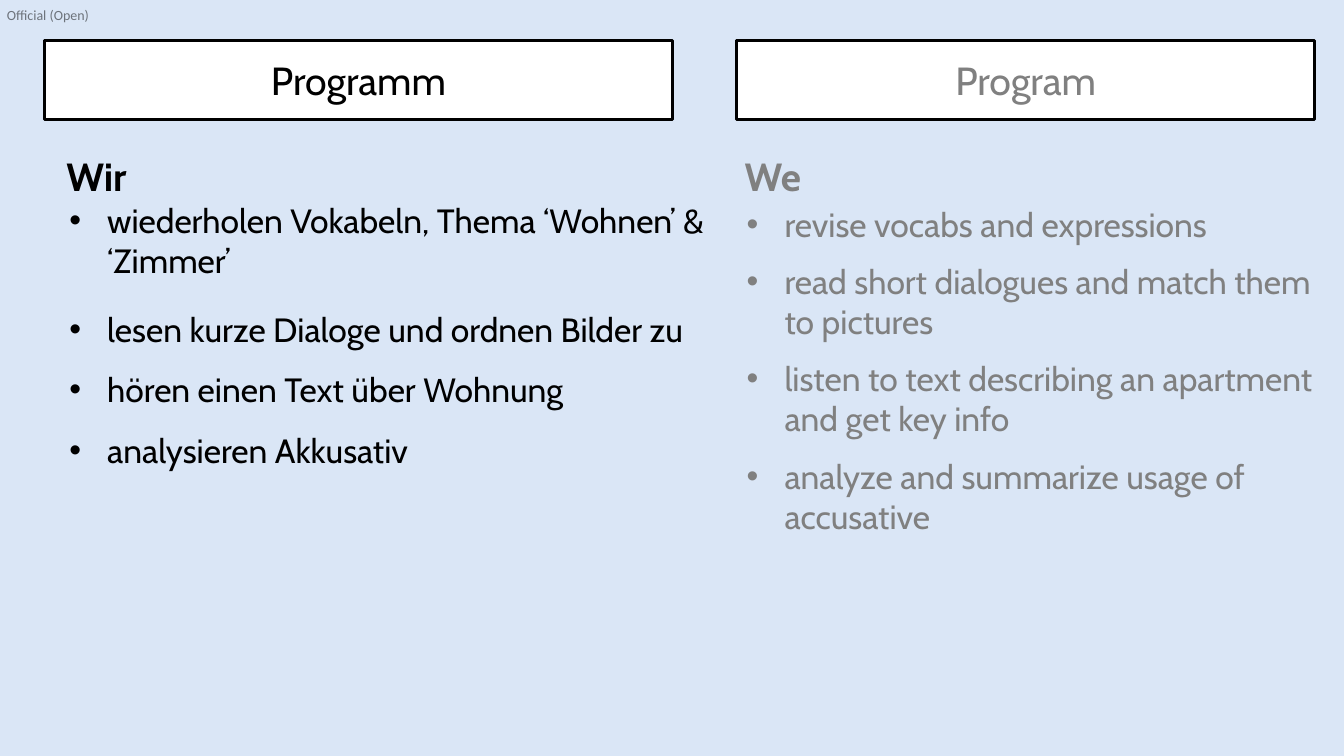
from dataclasses import dataclass

import lxml.etree
import pptx
import pptx.dml.color
import pptx.enum.shapes
import pptx.enum.text
import pptx.oxml.ns
import pptx.shapes.autoshape
import pptx.slide
import pptx.text.text
import pptx.util

Pt = pptx.util.Pt
RGBColor = pptx.dml.color.RGBColor
Align = pptx.enum.text.PP_ALIGN
Anchor = pptx.enum.text.MSO_ANCHOR

PALE_BLUE = RGBColor(0xDA, 0xE6, 0xF6)
WHITE = RGBColor(0xFF, 0xFF, 0xFF)
BLACK = RGBColor(0x00, 0x00, 0x00)
GREY = RGBColor(0x80, 0x80, 0x80)
LABEL_GREY = RGBColor(0x6D, 0x73, 0x7B)

HEADER_TOP, HEADER_HEIGHT = 28.8, 56.9
PRONOUN_TOP, PRONOUN_WIDTH, PRONOUN_HEIGHT = 105.1, 98.6, 41.2
HANGING_INDENT = 27


@dataclass(frozen=True)
class Box:
    left: float
    top: float
    width: float
    height: float

    def lengths(self) -> tuple[int, int, int, int]:
        return Pt(self.left), Pt(self.top), Pt(self.width), Pt(self.height)


@dataclass(frozen=True)
class Activity:
    text: str
    before: float = 0
    after: float = 0
    line_spacing: float = 1.0


@dataclass(frozen=True)
class Column:
    header: str
    header_left: float
    header_width: float
    pronoun: str
    pronoun_left: float
    list_box: Box
    activities: list[Activity]
    color: RGBColor


def write(paragraph: pptx.text.text._Paragraph, text: str, *, size: float,
          color: RGBColor, font: str = "Cabin", bold: bool = False,
          align: Align = Align.LEFT, before: float = 0, after: float = 0,
          line_spacing: float = 1.0, bullet: bool = False) -> None:
    if bullet:
        properties = paragraph._p.get_or_add_pPr()
        properties.set("marL", str(Pt(HANGING_INDENT)))
        properties.set("indent", str(Pt(-HANGING_INDENT)))
        qn = pptx.oxml.ns.qn
        lxml.etree.SubElement(properties, qn("a:buFont"), typeface="Arial")
        lxml.etree.SubElement(properties, qn("a:buChar"), char="•")
    paragraph.alignment = align
    paragraph.space_before = Pt(before)
    paragraph.space_after = Pt(after)
    paragraph.line_spacing = line_spacing
    run = paragraph.add_run()
    run.text = text
    run.font.name = font
    run.font.size = Pt(size)
    run.font.bold = bold
    run.font.color.rgb = color


def add_text_frame(slide: pptx.slide.Slide, box: Box) -> pptx.text.text.TextFrame:
    frame = slide.shapes.add_textbox(*box.lengths()).text_frame
    frame.word_wrap = True
    frame.auto_size = pptx.enum.text.MSO_AUTO_SIZE.SHAPE_TO_FIT_TEXT
    return frame


def add_label(slide: pptx.slide.Slide, text: str) -> None:
    frame = add_text_frame(slide, Box(5, 5, 61.2, 12.2))
    frame.word_wrap = False
    frame.margin_left = frame.margin_right = 0
    frame.margin_top = frame.margin_bottom = 0
    write(frame.paragraphs[0], text, size=10, color=LABEL_GREY, font="Calibri")


def add_header(slide: pptx.slide.Slide, column: Column) -> None:
    box = Box(column.header_left, HEADER_TOP, column.header_width, HEADER_HEIGHT)
    header = slide.shapes.add_shape(
        pptx.enum.shapes.MSO_SHAPE.RECTANGLE, *box.lengths())
    header.shadow.inherit = False
    header.fill.solid()
    header.fill.fore_color.rgb = WHITE
    header.line.color.rgb = BLACK
    header.line.width = Pt(2.25)
    header.text_frame.vertical_anchor = Anchor.MIDDLE
    write(header.text_frame.paragraphs[0], column.header, size=28,
          color=column.color, align=Align.CENTER)


def add_column(slide: pptx.slide.Slide, column: Column) -> None:
    add_header(slide, column)
    pronoun = add_text_frame(slide, Box(
        column.pronoun_left, PRONOUN_TOP, PRONOUN_WIDTH, PRONOUN_HEIGHT))
    write(pronoun.paragraphs[0], column.pronoun, size=28, color=column.color,
          bold=True)
    activity_list = add_text_frame(slide, column.list_box)
    for index, activity in enumerate(column.activities):
        paragraph = (activity_list.add_paragraph() if index
                     else activity_list.paragraphs[0])
        write(paragraph, activity.text, size=24, color=column.color,
              before=activity.before, after=activity.after,
              line_spacing=activity.line_spacing, bullet=True)


GERMAN = Column(
    "Programm", 31.7, 448.6, "Wir", 40.3, Box(42.5, 139, 483.8, 232.6),
    [
        Activity("wiederholen Vokabeln, Thema ‘Wohnen’ & ‘Zimmer’", after=6),
        Activity("lesen kurze Dialoge und ordnen Bilder zu", line_spacing=1.5),
        Activity("hören einen Text über Wohnung", line_spacing=1.5),
        Activity("analysieren Akkusativ", line_spacing=1.5),
    ],
    BLACK)

ENGLISH = Column(
    "Program", 526.3, 412.6, "We", 524.9, Box(526.3, 141.8, 421.9, 247.7),
    [
        Activity("revise vocabs and expressions", after=6),
        Activity("read short dialogues and match them to pictures", 6, 6),
        Activity("listen to text describing an apartment and get key info", 6, 6),
        Activity("analyze and summarize usage of accusative", 6, 6),
    ],
    GREY)


def main() -> None:
    deck = pptx.Presentation()
    deck.slide_width, deck.slide_height = Pt(960), Pt(540)
    slide = deck.slides.add_slide(deck.slide_layouts[6])

    # Background and classification label
    slide.background.fill.solid()
    slide.background.fill.fore_color.rgb = PALE_BLUE
    add_label(slide, "Official (Open)")

    # The programme in both languages
    for column in (GERMAN, ENGLISH):
        add_column(slide, column)

    deck.save("out.pptx")


if __name__ == "__main__":
    main()
